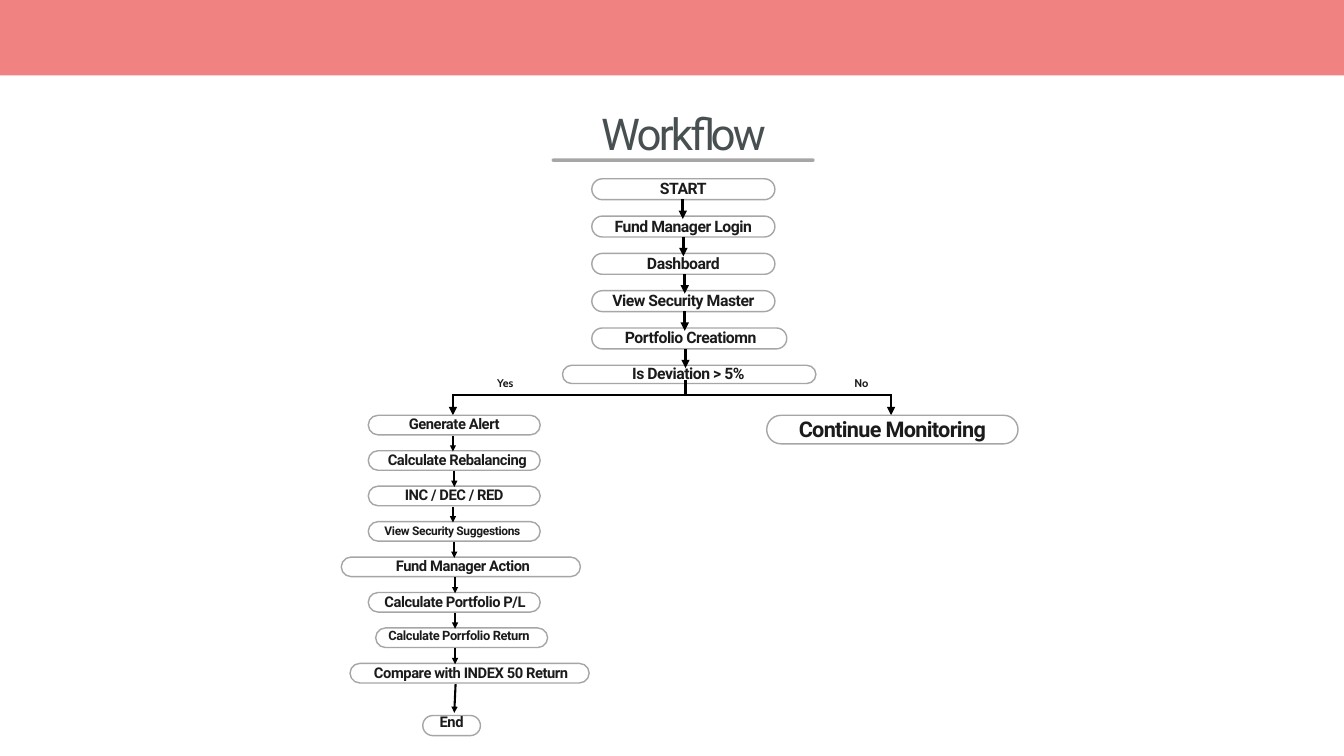
from lxml import etree
from pptx import Presentation
from pptx.dml.color import RGBColor
from pptx.enum.shapes import MSO_CONNECTOR, MSO_SHAPE
from pptx.enum.text import MSO_ANCHOR, MSO_AUTO_SIZE, PP_ALIGN
from pptx.oxml.ns import qn
from pptx.util import Cm, Pt

RECTANGLE = MSO_SHAPE.RECTANGLE
ROUNDED = MSO_SHAPE.ROUNDED_RECTANGLE
STRAIGHT = MSO_CONNECTOR.STRAIGHT
TOP, MIDDLE = MSO_ANCHOR.TOP, MSO_ANCHOR.MIDDLE
NO_FIT = MSO_AUTO_SIZE.NONE
CENTER = PP_ALIGN.CENTER

CORAL = RGBColor(0xF0, 0x82, 0x82)
GREY = RGBColor(0xA6, 0xA6, 0xA6)
SLATE = RGBColor(0x47, 0x4F, 0x51)
INK = RGBColor(0x1B, 0x1B, 0x1B)
WHITE = RGBColor(0xFF, 0xFF, 0xFF)
BLACK = RGBColor(0, 0, 0)

# All lengths are in centimetres, text sizes in points.
# Main steps: text, left, width, height, sideways nudge of the text
MAIN_STEPS = [
    ("START", 22.37, 6.92, 0.79, 0),
    ("Fund Manager Login", 22.37, 6.92, 0.79, 0),
    ("Dashboard", 22.37, 6.92, 0.79, 0),
    ("View Security Master", 22.37, 6.92, 0.79, 0),
    ("Portfolio Creatiomn", 22.37, 7.37, 0.79, 0.05),
    ("Is Deviation > 5%", 21.26, 9.58, 0.69, -0.03),
]
MAIN_TOP, MAIN_PITCH, MAIN_SIZE = 6.76, 1.41, 16.9
MAIN_ARROWS = [25.81, 25.83, 25.88, 25.88, 25.91]

# Rebalancing steps: text, size, left, width, nudge, lift of the text
ALERT_STEPS = [
    ("Generate Alert", 15.8, 13.92, 6.5, 0, 0.04),
    ("Calculate Rebalancing", 15.8, 13.92, 6.5, 0.12, 0.04),
    ("INC / DEC / RED", 15.8, 13.92, 6.5, 0, 0.04),
    ("View Security Suggestions", 12.8, 13.92, 6.5, -0.07, 0.03),
    ("Fund Manager Action", 15.8, 12.9, 9.04, 0.08, 0.03),
    ("Calculate Portfolio P/L", 15.8, 13.92, 6.5, 0.03, 0.04),
    ("Calculate Porrfolio Return", 13.8, 14.2, 6.5, -0.1, 0.08),
    ("Compare with INDEX 50 Return", 15.8, 13.23, 9.04, 0.06, 0.03),
]
ALERT_TOP, ALERT_PITCH, ALERT_HEIGHT = 15.7, 1.34, 0.74
ALERT_ARROWS = [17.12, 17.17, 17.12, 17.17, 17.2, 17.2, 17.2]

BRANCH_Y, BRANCH_X = 14.94, 25.91
YES_X, NO_X = 17.12, 33.68
BRANCH_LABELS = [("Yes", 19.1), ("No", 32.56)]


def write(frame, text, size, font, color, bold, spacing, leading, anchor):
    frame.auto_size = NO_FIT
    frame.word_wrap = True
    frame.vertical_anchor = anchor
    frame.margin_left = frame.margin_right = 0
    frame.margin_top = frame.margin_bottom = 0
    para = frame.paragraphs[0]
    para.alignment = CENTER
    para.line_spacing = Pt(round(size * leading, 1))
    span = para.add_run()
    span.text = text
    span.font.name = font
    span.font.size = Pt(size)
    span.font.bold = bold
    span.font.color.rgb = color
    span._r.get_or_add_rPr().set("spc", str(round(spacing * 100)))


def add_block(page, kind, left, top, width, height, fill):
    block = page.shapes.add_shape(kind, Cm(left), Cm(top), Cm(width), Cm(height))
    block.shadow.inherit = False
    block.fill.solid()
    block.fill.fore_color.rgb = fill
    block.line.fill.background()
    if kind == ROUNDED:
        block.adjustments[0] = 0.5
    return block


def add_step(page, text, size, left, top, width, height, nudge=0, lift=0.03):
    """Draw a pill whose text sits `nudge` right of and `lift` above its centre."""
    pill = add_block(page, ROUNDED, left, top, width, height, WHITE)
    pill.line.color.rgb = GREY
    pill.line.width = Pt(1.5)
    frame = pill.text_frame
    write(frame, text, size, "Roboto", INK, True, -0.03 * size, 1.2, MIDDLE)
    frame.margin_left = Cm(max(2 * nudge, 0))
    frame.margin_right = Cm(max(-2 * nudge, 0))
    frame.margin_bottom = Cm(2 * lift)


def add_line(page, x1, y1, x2, y2, weight, arrow=True):
    line = page.shapes.add_connector(STRAIGHT, Cm(x1), Cm(y1), Cm(x2), Cm(y2))
    line.line.color.rgb = BLACK
    line.line.width = Pt(weight)
    if arrow:
        etree.SubElement(line.line._get_or_add_ln(), qn("a:tailEnd"), type="triangle")
    etree.SubElement(line._element.spPr, qn("a:effectLst"))


def add_heading(page):
    add_block(page, RECTANGLE, 0, 0, 50.8, 2.85, CORAL)
    add_block(page, ROUNDED, 20.85, 5.99, 9.94, 0.13, GREY)
    title = page.shapes.title
    title.left, title.top, title.width, title.height = Cm(14.71), Cm(3.71), Cm(22.25), Cm(2.26)
    write(title.text_frame, "Workflow", 47, "Roboto", SLATE, False, -3, 1.4, TOP)


def add_main_flow(page):
    for row, (text, left, width, height, nudge) in enumerate(MAIN_STEPS):
        top = MAIN_TOP + row * MAIN_PITCH
        add_step(page, text, MAIN_SIZE, left, top, width, height, nudge)
    for row, x in enumerate(MAIN_ARROWS):
        start = MAIN_TOP + row * MAIN_PITCH + 0.78
        add_line(page, x, start, x, start + 0.74, 3)


def add_branch(page):
    add_line(page, YES_X - 0.05, BRANCH_Y, NO_X + 0.05, BRANCH_Y, 2.4, arrow=False)
    add_line(page, BRANCH_X, 14.35, BRANCH_X, 14.88, 2.4, arrow=False)
    for x in (YES_X, NO_X):
        add_line(page, x, BRANCH_Y, x, ALERT_TOP, 3)
    for text, center in BRANCH_LABELS:
        box = page.shapes.add_textbox(Cm(center - 0.6), Cm(14.15), Cm(1.2), Cm(0.56))
        write(box.text_frame, text, 12, "Cabin", INK, True, 0, 1.41, TOP)
    add_step(page, "Continue Monitoring", 23.2, 28.98, ALERT_TOP, 9.5, 1.08, lift=0.04)


def add_alert_flow(page):
    for row, (text, size, left, width, nudge, lift) in enumerate(ALERT_STEPS):
        top = ALERT_TOP + row * ALERT_PITCH
        add_step(page, text, size, left, top, width, ALERT_HEIGHT, nudge, lift)
    add_step(page, "End", 15.8, 15.98, 27.05, 2.18, 0.76, lift=0.14)
    for row, x in enumerate(ALERT_ARROWS):
        start = ALERT_TOP + row * ALERT_PITCH + 0.77
        add_line(page, x, start, x, start + 0.6, 2.25)
    add_line(page, 17.22, 25.86, 17.17, 26.95, 2.25)


def main():
    deck = Presentation()
    deck.slide_width, deck.slide_height = Cm(50.8), Cm(28.58)
    page = deck.slides.add_slide(deck.slide_layouts[5])
    add_heading(page)
    add_main_flow(page)
    add_branch(page)
    add_alert_flow(page)
    deck.save("out.pptx")


if __name__ == "__main__":
    main()
